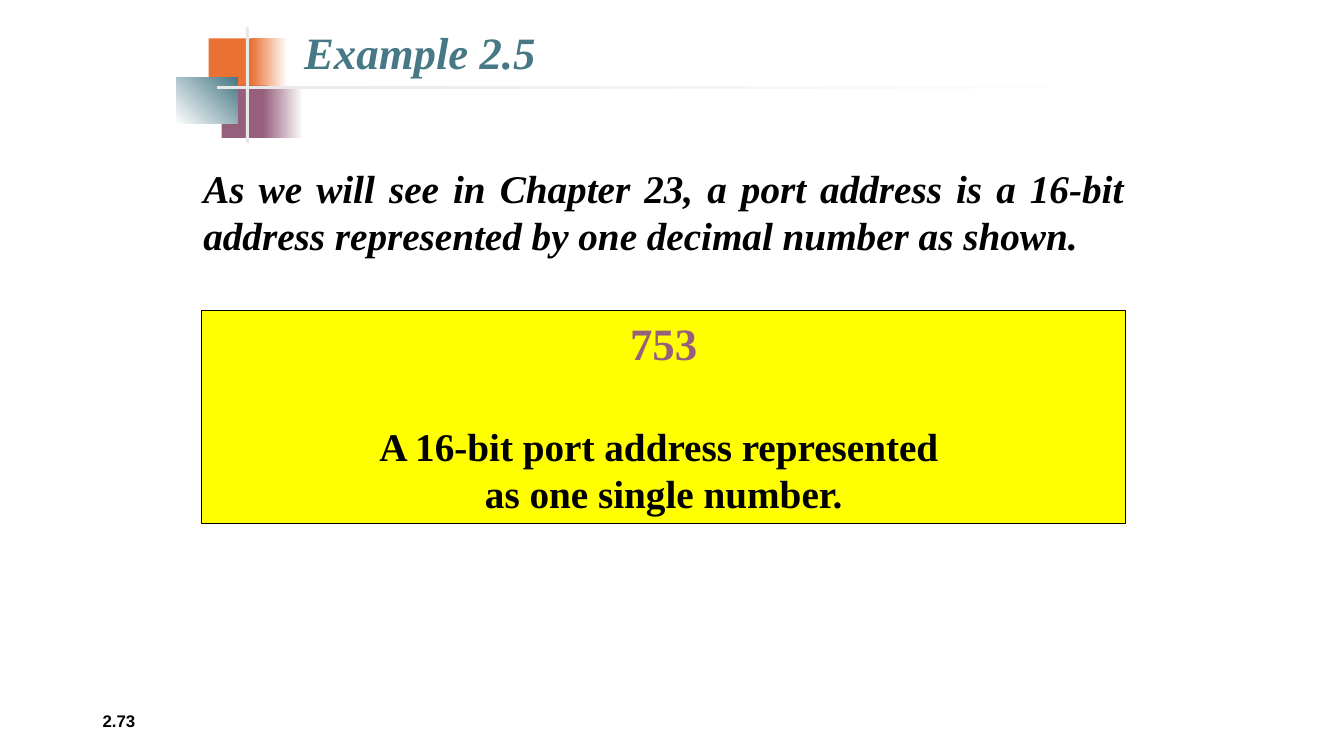
from pptx import Presentation
from pptx.dml.color import RGBColor
from pptx.enum.shapes import MSO_SHAPE as Form
from pptx.enum.text import MSO_ANCHOR as Anchor, PP_ALIGN as Align
from pptx.util import Pt

HUE = {"orange": "E97132", "plum": "96607D", "teal": "467886", "grey": "E8E8E8",
       "white": "FFFFFF", "yellow": "FFFF00", "black": "000000"}
SERIF, SANS = "Times New Roman", "Arial"

BLOCKS = [
    ((149, 27.5, 34.5, 37.5), ["orange"], 0),
    ((179.3, 27.5, 26, 37.5), ["orange", "white"], 0),
    ((158.4, 61.2, 33, 37.4), ["plum"], 0),
    ((188, 61.2, 28.8, 37.4), ["plum", "white"], 0),
    ((126, 55.4, 44, 33.2), ["white", "teal"], 45),
    ((175.7, 19.4, 2.2, 82.8), ["grey"], 0),
    ((154.8, 61.2, 648, 2.2), ["grey", "white"], 0),
]

TITLE = {"size": 32, "name": SERIF, "bold": True, "italic": True, "hue": "teal"}
BODY = {**TITLE, "size": 28, "hue": "black"}
VALUE = {**TITLE, "italic": False, "hue": "plum"}
NOTE = {**BODY, "italic": False}
PAGE = {"size": 12, "name": SANS, "bold": True, "hue": "black"}

TEXTS = [
    ((66.2, 500.4, 216, 28.8), "2.73", PAGE, Align.LEFT, Anchor.MIDDLE, True),
    ((210.2, 14.4, 180, 45.4), "Example 2.5", TITLE, Align.LEFT, Anchor.TOP, False),
    ((138.2, 113.8, 671.8, 74.2),
     "As we will see in Chapter 23, a port address is a 16-bit address "
     "represented by one decimal number as shown.",
     BODY, Align.JUSTIFY, Anchor.TOP, True),
]
PANEL = (144, 221.8, 660.2, 151.9)
PORT = [("753", VALUE, 38),
        ("A 16-bit port address represented \vas one single number.", NOTE, 0)]


def tint(hue):
    return RGBColor.from_string(HUE[hue])


def rect(slide, box, hues, turn=0):
    shape = slide.shapes.add_shape(Form.RECTANGLE, *map(Pt, box))
    shape.shadow.inherit = False
    shape.line.fill.background()
    fill = shape.fill
    if len(hues) == 1:
        fill.solid()
        fill.fore_color.rgb = tint(hues[0])
    else:
        fill.gradient()
        fill.gradient_angle = turn
        for stop, hue in zip(fill.gradient_stops, hues):
            stop.color.rgb = tint(hue)
    return shape


def write(para, text, style, align, after=0):
    para.text = text
    para.alignment = align
    para.space_after = Pt(after)
    for run in para.runs:
        for key, value in style.items():
            if key == "hue":
                run.font.color.rgb = tint(value)
            else:
                setattr(run.font, key, Pt(value) if key == "size" else value)


def main():
    deck = Presentation()
    deck.slide_width, deck.slide_height = Pt(960), Pt(540)
    slide = deck.slides.add_slide(deck.slide_layouts[6])

    for block in BLOCKS:
        rect(slide, *block)

    for box, text, style, align, anchor, wrap in TEXTS:
        frame = slide.shapes.add_textbox(*map(Pt, box)).text_frame
        frame.word_wrap, frame.vertical_anchor = wrap, anchor
        write(frame.paragraphs[0], text, style, align)

    panel = rect(slide, PANEL, ["yellow"])
    panel.line.color.rgb = tint("black")
    panel.line.width = Pt(0.75)
    frame = panel.text_frame
    frame.word_wrap, frame.vertical_anchor = True, Anchor.TOP
    for i, (text, style, after) in enumerate(PORT):
        para = frame.add_paragraph() if i else frame.paragraphs[0]
        write(para, text, style, Align.CENTER, after)

    deck.save("out.pptx")


if __name__ == "__main__":
    main()
